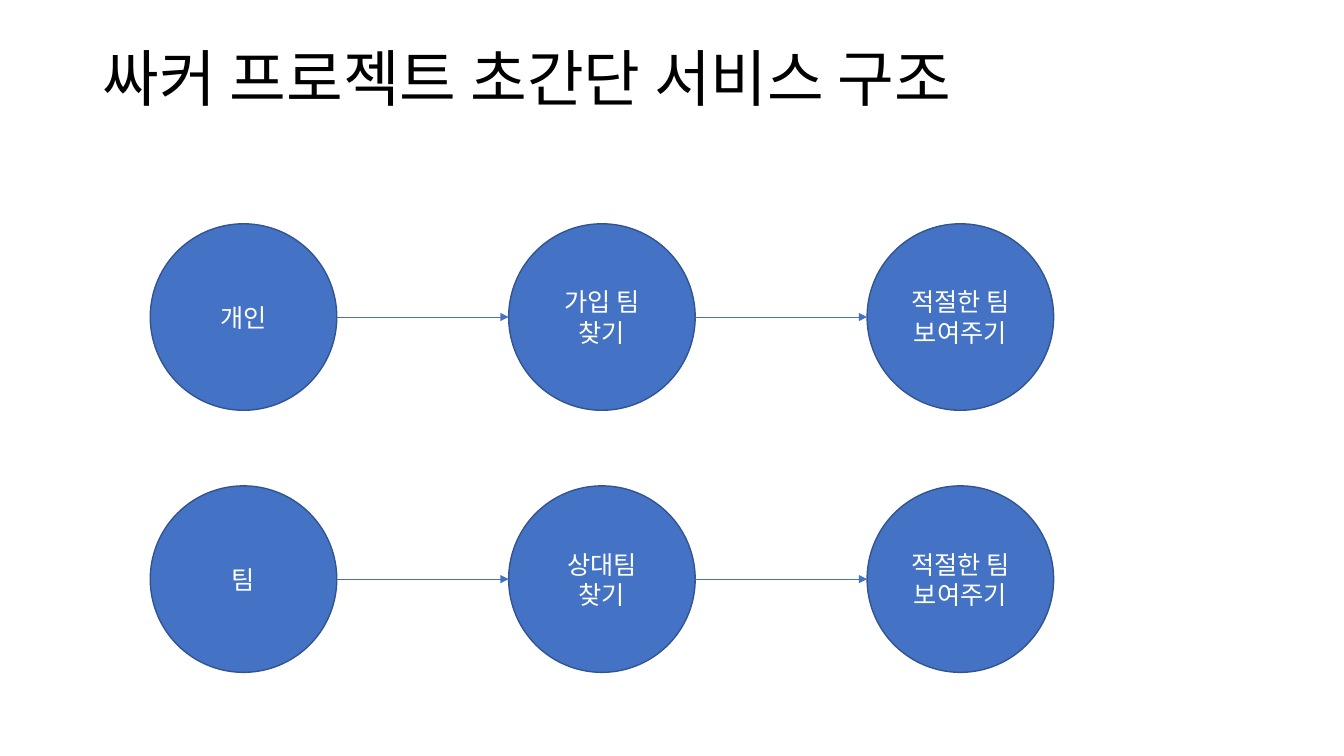
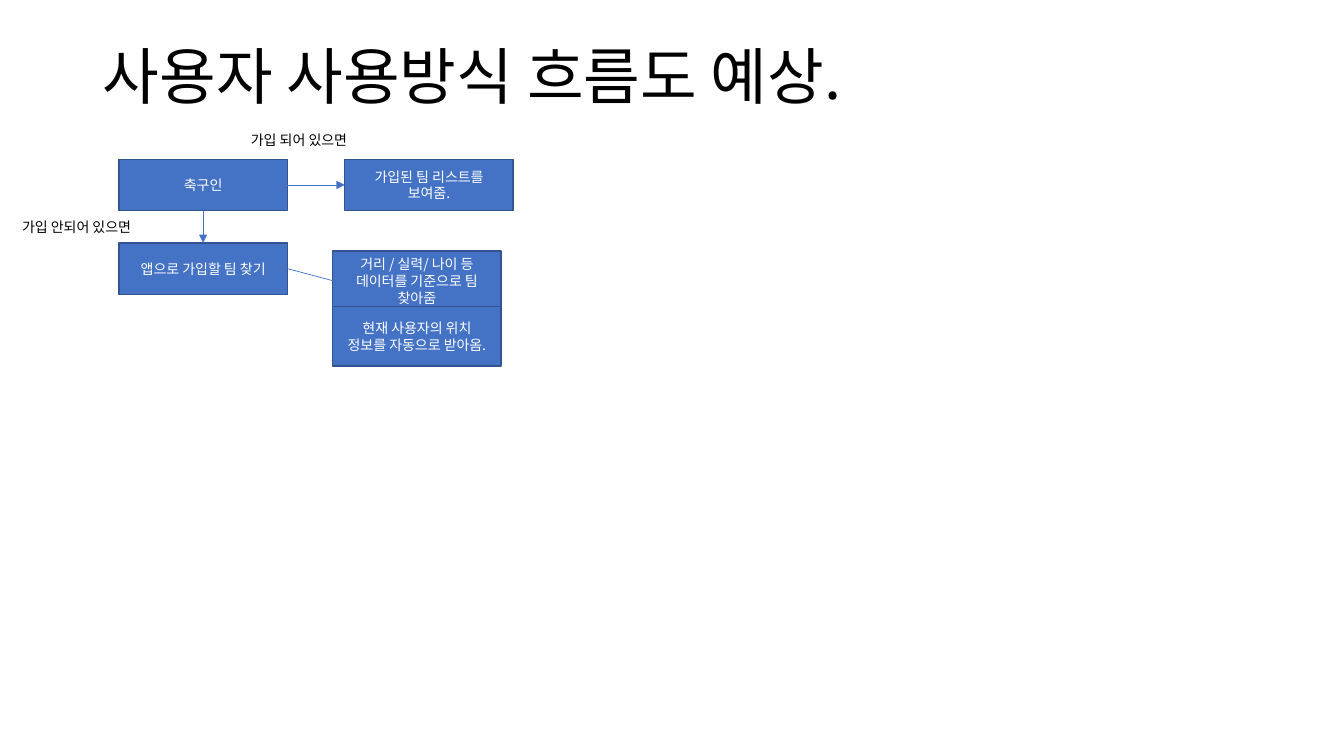
from itertools import pairwise

from lxml.etree import SubElement
from pptx import Presentation
from pptx.dml.color import RGBColor
from pptx.enum.shapes import MSO_CONNECTOR, MSO_SHAPE
from pptx.enum.text import MSO_ANCHOR, PP_ALIGN
from pptx.oxml.ns import qn
from pptx.util import Inches, Pt

FONT = "Noto Sans CJK KR"
BLUE = RGBColor(0x44, 0x72, 0xC4)
NAVY = RGBColor(0x32, 0x54, 0x91)
WHITE = RGBColor(0xFF, 0xFF, 0xFF)
BLACK = RGBColor(0x00, 0x00, 0x00)

# Points on a shape's outline, as fractions of its width and height
RIGHT, LEFT, TOP, BOTTOM = (1, 0.5), (0, 0.5), (0.5, 0), (0.5, 1)


class Deck:
    """Shared style and the slide being drawn."""

    def __init__(self):
        self.prs = Presentation()
        self.prs.slide_width = Inches(13.33)
        self.prs.slide_height = Inches(7.5)
        self.s = None

    def slide(self, title, height):
        self.s = self.prs.slides.add_slide(self.prs.slide_layouts[6])
        tf = self.text(title, 0.92, 0.4, 11.5, height, 44)
        tf.vertical_anchor = MSO_ANCHOR.MIDDLE
        tf.paragraphs[0].line_spacing = 0.9

    def add_text(self, tf, text, size, color):
        tf.word_wrap = True
        r = tf.paragraphs[0].add_run()
        r.text = text
        r.font.size = Pt(size)
        r.font.name = FONT
        r.font.color.rgb = color
        SubElement(r.font._element, qn("a:ea"), typeface=FONT)

    def text(self, text, x, y, w, h, size):
        tf = self.s.shapes.add_textbox(
            Inches(x), Inches(y), Inches(w), Inches(h)).text_frame
        self.add_text(tf, text, size, BLACK)
        return tf

    def node(self, kind, text, x, y, w, h, size):
        sp = self.s.shapes.add_shape(
            kind, Inches(x), Inches(y), Inches(w), Inches(h))
        sp.shadow.inherit = False
        sp.fill.solid()
        sp.fill.fore_color.rgb = BLUE
        sp.line.color.rgb = NAVY
        sp.line.width = Pt(1)
        tf = sp.text_frame
        tf.vertical_anchor = MSO_ANCHOR.MIDDLE
        tf.paragraphs[0].alignment = PP_ALIGN.CENTER
        self.add_text(tf, text, size, WHITE)
        return sp

    def link(self, a, b, start=RIGHT, end=LEFT, arrow=True):
        ends = [int(v) for sp, (fx, fy) in ((a, start), (b, end))
                for v in (sp.left + sp.width * fx, sp.top + sp.height * fy)]
        c = self.s.shapes.add_connector(MSO_CONNECTOR.STRAIGHT, *ends)
        c.line.color.rgb = BLUE
        c.line.width = Pt(0.5)
        if arrow:
            SubElement(c.line._get_or_add_ln(), qn("a:tailEnd"), type="triangle")
        SubElement(c._element.spPr, qn("a:effectLst"))


deck = Deck()

# Slide 1: one row of circles per kind of user
deck.slide("싸커 프로젝트 초간단 서비스 구조", 0.81)
DIAMETER, LEFT_X, RIGHT_X = 1.85, 1.49, 8.6
rows = [
    (2.22, ["개인", "가입 팀 찾기", "적절한 팀 보여주기"]),
    (4.82, ["팀", "상대팀 찾기", "적절한 팀 보여주기"]),
]
for y, steps in rows:
    step_x = (RIGHT_X - LEFT_X) / (len(steps) - 1)
    circles = [deck.node(MSO_SHAPE.OVAL, step, LEFT_X + i * step_x, y,
                         DIAMETER, DIAMETER, 18)
               for i, step in enumerate(steps)]
    for a, b in pairwise(circles):
        deck.link(a, b)

# Slide 2: flow chart boxes
deck.slide("사용자 사용방식 흐름도 예상.", 0.78)
boxes = [
    ("축구인", 1.18, 1.58, 0.51),
    ("가입된 팀 리스트를 보여줌.", 3.42, 1.58, 0.51),
    ("앱으로 가입할 팀 찾기", 1.18, 2.41, 0.51),
    ("거리 / 실력/ 나이 등 데이터를 기준으로 팀 찾아줌", 3.3, 2.49, 0.59),
    ("현재 사용자의 위치 정보를 자동으로 받아옴.", 3.3, 3.04, 0.59),
]
player, team_list, find_team, criteria, location = [
    deck.node(MSO_SHAPE.RECTANGLE, text, x, y, 1.67, h, 10)
    for text, x, y, h in boxes]

# Links and their conditions
deck.link(player, team_list)
deck.link(player, find_team, BOTTOM, TOP)
deck.link(find_team, criteria, arrow=False)
for text, x, y in [("가입 되어 있으면", 2.39, 1.26),
                   ("가입 안되어 있으면", 0.12, 2.12)]:
    deck.text(text, x, y, 1.48, 0.27, 10)

deck.prs.save("out.pptx")
